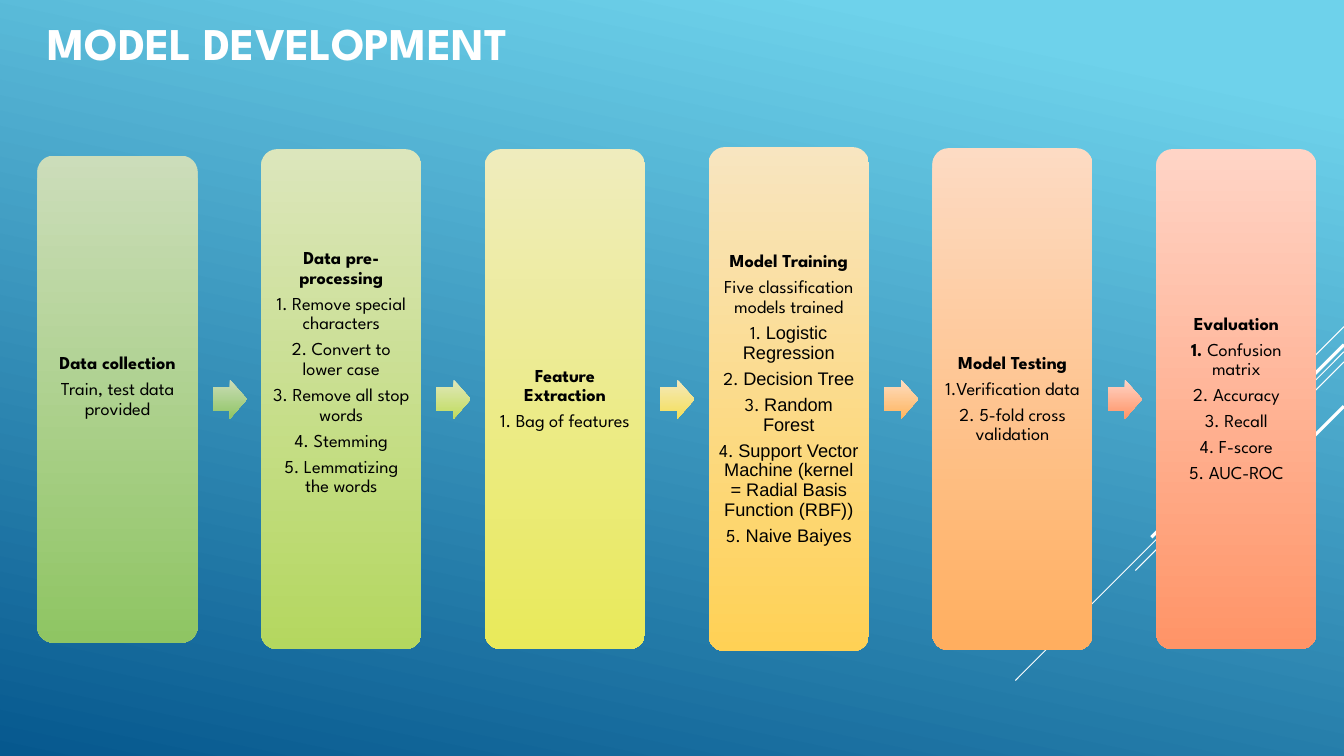
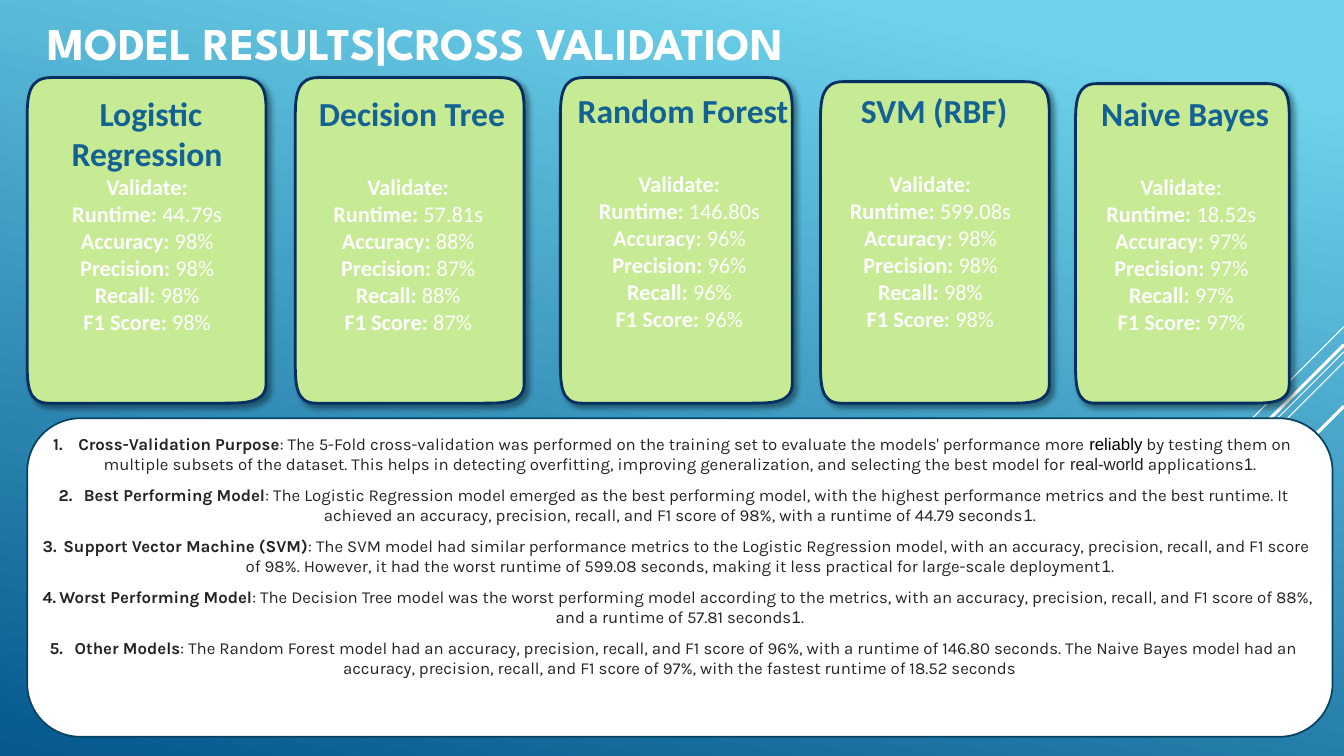
from dataclasses import dataclass

from lxml.etree import SubElement
from pptx import Presentation
from pptx.dml.color import RGBColor
from pptx.enum.shapes import MSO_CONNECTOR, MSO_SHAPE
from pptx.enum.text import MSO_ANCHOR, MSO_AUTO_SIZE, PP_ALIGN
from pptx.oxml.ns import qn
from pptx.util import Inches, Pt


@dataclass(frozen=True)
class Theme:
    heading_font: str = "League Spartan"
    plain_font: str = "Arial"
    score_font: str = "Calibri"
    note_font: str = "Karla"
    title_size: float = 32.4
    step_size: float = 13
    model_size: float = 24
    score_size: float = 16
    note_size: float = 12
    white: str = "FFFFFF"
    black: str = "000000"
    note_ink: str = "242424"
    model_ink: str = "146194"
    card_fill: str = "C7EA94"
    card_line: str = "052F61"
    panel_line: str = "054361"
    sky: tuple = ("6ED2EB", "06588E")


THEME = Theme()
WIDTH, HEIGHT = 40 / 3, 7.5
ARIAL = {"font": THEME.plain_font}
BOLD = {"bold": True}

RAYS = [(3.24, 1, 0.75), (3.49, 3.26, 0.75), (3.59, 2.07, 0.75), (3.42, 1.91, 2.25), (4.03, 1.39, 2.25)]

STEPS = [
    ("Data collection", ["Train, test data provided"], 4.83, 0.25, ("CCDDBA", "8FC563")),
    ("Data pre-processing",
     ["1. Remove special characters", "2. Convert to lower case", "3. Remove all stop words",
      "4. Stemming", "5. Lemmatizing the words"], 4.96, 0.52, ("DCE6BC", "B4D75F")),
    ("Feature Extraction", ["1. Bag of features"], 4.96, 0, ("EFECBD", "E9EA5A")),
    ("Model Training",
     ["Five classification models trained",
      ("1. ", ("Logistic Regression", ARIAL)),
      ("2. ", ("Decision Tree", ARIAL)),
      ("3. ", ("Random Forest", ARIAL)),
      ("4. ", ("Support Vector Machine (kernel = Radial Basis Function (RBF))", ARIAL)),
      ("5. ", ("Naive Baiyes", ARIAL))], 5, 0, ("F8E5C0", "FFD155")),
    ("Model Testing", ["1.Verification data", "2. 5-fold cross validation"], 4.98, 0, ("FDDBC3", "FFAE5F")),
    ("Evaluation",
     [(("1. ", BOLD), "Confusion matrix"), "2. Accuracy", "3. Recall", "4. F-score", "5. AUC-ROC"],
     4.96, 0, ("FFD4C6", "FF9467")),
]
ARROWS = [("CCDDBA", "8FC563"), ("E1E8BC", "C0DC5D"), ("F4E9BE", "F4DF58"),
          ("FDDDC2", "FFB55E"), ("FFD4C6", "FF9467")]

METRICS = ["Runtime: ", "Accuracy: ", "Precision: ", "Recall: ", "F1 Score: "]
MODELS = [
    ("Logistic Regression", ["44.79s", "98%", "98%", "98%", "98%"], (0.27, 0.77, 2.37), (0.28, 0.92), 0),
    ("Decision Tree", ["57.81s", "88%", "87%", "88%", "87%"], (2.93, 0.77, 2.27), (2.87, 0.92), 1),
    ("Random Forest", ["146.80s", "96%", "96%", "96%", "96%"], (5.56, 0.77, 2.3), (5.56, 0.89), 1),
    ("SVM (RBF)", ["599.08s", "98%", "98%", "98%", "98%"], (8.14, 0.81, 2.27), (8.05, 0.89), 1),
    ("Naive Bayes", ["18.52s", "97%", "97%", "97%", "97%"], (10.67, 0.83, 2.12), (10.54, 0.92), 1),
]
CARD_BOTTOM = 4
CARD_START = (0, 0.12)
CARD_OUTLINE = [
    [(0, 0.05), (0.01, 0), (0.1, 0)],
    [(0.89, 0)],
    [(0.98, 0), (1, 0.03), (1, 0.1)],
    [(1, 0.37), (1, 0.67), (1, 0.94)],
    [(1, 1), (0.91, 1), (0.82, 1)],
    [(0.09, 1)],
    [(0, 1), (0, 0.94), (0, 0.87)],
    [(0, 0.62), (0, 0.37), CARD_START],
]

REFERENCE = [("1", ARIAL), "."]
NOTES = [
    ("Cross-Validation Purpose",
     [": The 5-Fold cross-validation was performed on the training set to evaluate the models' performance more ",
      ("reliably", {"font": THEME.plain_font, "color": THEME.black}),
      " by testing them on multiple subsets of the dataset. This helps in detecting overfitting, "
      "improving generalization, and selecting the best model for ",
      ("real-world", ARIAL), " applications", *REFERENCE]),
    ("Best Performing Model",
     [": The Logistic Regression model emerged as the best performing model, with the highest performance "
      "metrics and the best runtime. It achieved an accuracy, precision, recall, and F1 score of 98%, "
      "with a runtime of 44.79 seconds", *REFERENCE]),
    ("Support Vector Machine (SVM)",
     [": The SVM model had similar performance metrics to the Logistic Regression model, with an accuracy, "
      "precision, recall, and F1 score of 98%. However, it had the worst runtime of 599.08 seconds, "
      "making it less practical for large-scale deployment", *REFERENCE]),
    ("Worst Performing Model",
     [": The Decision Tree model was the worst performing model according to the metrics, with an accuracy, "
      "precision, recall, and F1 score of 88%, and a runtime of 57.81 seconds", *REFERENCE]),
    ("Other Models",
     [": The Random Forest model had an accuracy, precision, recall, and F1 score of 96%, with a runtime of "
      "146.80 seconds. The Naive Bayes model had an accuracy, precision, recall, and F1 score of 97%, "
      "with the fastest runtime of 18.52 seconds"]),
]


def rgb(value):
    return RGBColor.from_string(value)


def write(frame, *runs, font, size, color, bold=False, align=PP_ALIGN.CENTER, before=0, after=0, spacing=1):
    para = frame.paragraphs[0]
    if para.runs:
        para = frame.add_paragraph()
    para.alignment, para.line_spacing = align, spacing
    para.space_before, para.space_after = Pt(before), Pt(after)
    for run in runs:
        text, changes = (run, {}) if isinstance(run, str) else run
        look = {"font": font, "color": color, "bold": bold, **changes}
        span = para.add_run()
        span.text = text
        span.font.name, span.font.size, span.font.bold = look["font"], Pt(size), look["bold"]
        span.font.color.rgb = rgb(look["color"])
    return para


def set_frame(box, margins=(0, 0, 0, 0), anchor=MSO_ANCHOR.TOP):
    frame = box.text_frame
    frame.word_wrap, frame.auto_size, frame.vertical_anchor = True, MSO_AUTO_SIZE.NONE, anchor
    frame.margin_left, frame.margin_top, frame.margin_right, frame.margin_bottom = map(Inches, margins)
    return frame


def set_gradient(fill, colors, angle=90, start=0):
    fill.gradient()
    fill.gradient_angle = 360 - angle
    for stop, color, position in zip(fill.gradient_stops, colors, (start, 1)):
        stop.color.rgb = rgb(color)
        stop.position = position


def set_solid(box, fill, line, weight):
    box.fill.solid()
    box.fill.fore_color.rgb = rgb(fill)
    box.line.color.rgb = rgb(line)
    box.line.width = Pt(weight)
    box.shadow.inherit = False


def add_preset(page, kind, left, top, width, height):
    box = page.shapes.add_shape(kind, *map(Inches, (left, top, width, height)))
    box.shadow.inherit = False
    return box


def add_gradient_shape(page, kind, place, adjustment, colors):
    box = add_preset(page, kind, *place)
    box.adjustments[0] = adjustment
    set_gradient(box.fill, colors)
    box.line.fill.background()
    return box


def add_page(deck, layout, title):
    page = deck.slides.add_slide(layout)
    box = page.shapes.title
    box.left, box.top, box.width, box.height = map(Inches, (0.37, 0.19, 9.53, 0.46))
    frame = set_frame(box, (0.1, 0.05, 0.1, 0.05), MSO_ANCHOR.MIDDLE)
    write(frame, title, font=THEME.heading_font, size=THEME.title_size, color=THEME.white,
          bold=True, align=PP_ALIGN.LEFT)
    return page


def decorate_layout(layout, page):
    set_gradient(layout.background.fill, THEME.sky, angle=102, start=0.1)
    for number, (top, reach, weight) in enumerate(RAYS, 20):
        ray = page.shapes.add_connector(
            MSO_CONNECTOR.STRAIGHT, *map(Inches, (WIDTH, top, WIDTH - reach, top + reach)))
        ray.line.color.rgb = rgb(THEME.white)
        ray.line.width = Pt(weight)
        SubElement(ray.element.spPr, qn("a:effectLst"))
        ray.element.nvCxnSpPr.cNvPr.set("id", str(number))
        layout.shapes.element.append(ray.element)


def draw_steps(page):
    left, pitch, width, middle = 0.37, 2.22, 1.59, 3.96
    arrow_width, arrow_height = 0.34, 0.39
    style = dict(font=THEME.heading_font, size=THEME.step_size, color=THEME.black, after=4.5, spacing=0.9)
    for index, (heading, lines, height, lift, colors) in enumerate(STEPS):
        x = left + index * pitch
        card = add_gradient_shape(page, MSO_SHAPE.ROUNDED_RECTANGLE,
                                  (x, middle - height / 2, width, height), 0.1, colors)
        frame = set_frame(card, (0.05, 0.05, 0.05, 0.05 + lift), MSO_ANCHOR.MIDDLE)
        write(frame, heading, bold=True, **style)
        for line in lines:
            write(frame, *([line] if isinstance(line, str) else line), **style)
    for index, colors in enumerate(ARROWS):
        x = left + index * pitch + width + 0.15
        add_gradient_shape(page, MSO_SHAPE.RIGHT_ARROW,
                           (x, middle - arrow_height / 2, arrow_width, arrow_height), 0.6, colors)


def add_card(page, left, top, width):
    height = CARD_BOTTOM - top

    def scale(point, x=0, y=0):
        return Inches(x + point[0] * width), Inches(y + point[1] * height)

    builder = page.shapes.build_freeform(*scale(CARD_START, left, top))
    builder.add_line_segments([scale(segment[-1], left, top) for segment in CARD_OUTLINE], close=True)
    card = builder.convert_to_shape()
    edges = list(card.element.spPr.iter(qn("a:lnTo")))
    for edge, segment in zip(edges, CARD_OUTLINE):
        if len(segment) == 3:
            edge.tag = qn("a:cubicBezTo")
            edge.remove(edge[0])
            for point in segment:
                x, y = scale(point)
                SubElement(edge, qn("a:pt"), x=str(x), y=str(y))
    set_solid(card, THEME.card_fill, THEME.card_line, 2)
    add_shadow(card)


def add_shadow(box):
    effects = box.element.spPr.find(qn("a:effectLst"))
    shadow = SubElement(effects, qn("a:outerShdw"), blurRad=str(Pt(4)), dist=str(Pt(3)),
                        dir=str(45 * 60000), algn="tl", rotWithShape="0")
    color = SubElement(shadow, qn("a:srgbClr"), val=THEME.black)
    SubElement(color, qn("a:alpha"), val="40000")


def draw_models(page):
    style = dict(font=THEME.score_font, size=THEME.score_size, color=THEME.white)
    for model in MODELS:
        add_card(page, *model[2])
    for name, scores, _, corner, skipped in MODELS:
        box = page.shapes.add_textbox(*map(Inches, (*corner, 2.36, 3.53)))
        frame = set_frame(box)
        write(frame, " ", (name, BOLD), font=THEME.score_font, size=THEME.model_size, color=THEME.model_ink)
        write(frame, "Validate:", bold=True, before=skipped * THEME.model_size * 1.2, **style)
        for metric, score in zip(METRICS, scores):
            write(frame, (metric, BOLD), score, **style)


def draw_notes(page):
    panel = add_preset(page, MSO_SHAPE.FLOWCHART_ALTERNATE_PROCESS, 0.27, 4.15, 12.95, 3.16)
    set_solid(panel, THEME.white, THEME.panel_line, 1.25)
    frame = set_frame(panel)
    for lead, runs in NOTES:
        para = write(frame, (lead, BOLD), *runs, font=THEME.note_font, size=THEME.note_size,
                     color=THEME.note_ink, before=3.8, after=3.8)
        properties = para._p.get_or_add_pPr()
        properties.set("marL", "0")
        properties.set("indent", str(-Inches(0.25)))
        SubElement(properties, qn("a:buAutoNum"), type="arabicPeriod")


def main():
    deck = Presentation()
    deck.slide_width, deck.slide_height = Inches(WIDTH), Inches(HEIGHT)
    layout = deck.slide_layouts.get_by_name("Title Only")
    development = add_page(deck, layout, "MODEL DEVELOPMENT")
    decorate_layout(layout, development)
    draw_steps(development)
    results = add_page(deck, layout, "MODEL RESULTS|CROSS VALIDATION")
    draw_notes(results)
    draw_models(results)
    deck.save("out.pptx")


if __name__ == "__main__":
    main()
